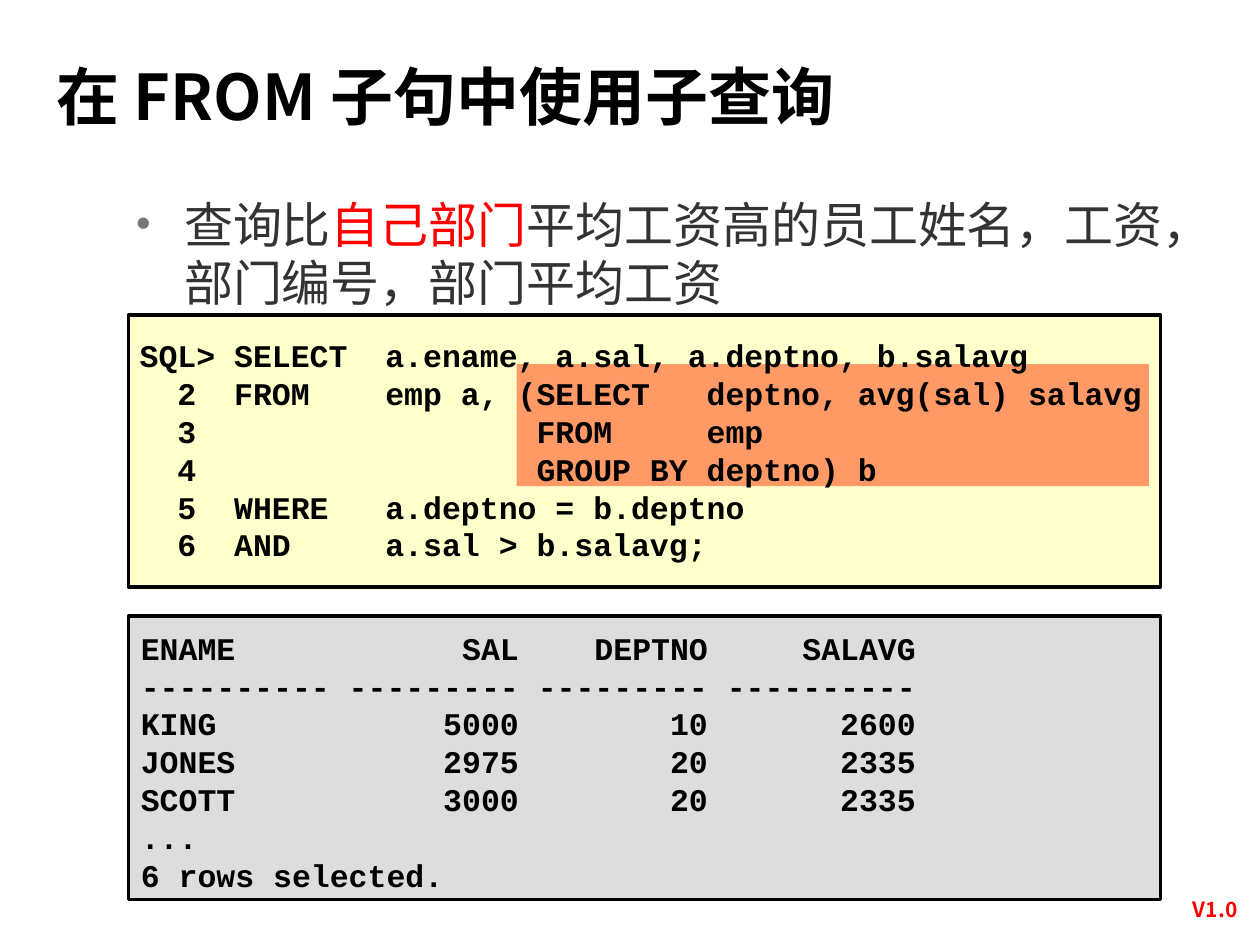
from lxml import etree
from pptx import Presentation
from pptx.dml.color import RGBColor
from pptx.enum import shapes, text
from pptx.oxml import ns
from pptx.util import Pt

BLACK = RGBColor(0x00, 0x00, 0x00)
DARK = RGBColor(0x33, 0x33, 0x33)
BULLET_GRAY = RGBColor(0x77, 0x77, 0x77)
RED = RGBColor(0xFF, 0x00, 0x00)
YELLOW = RGBColor(0xFF, 0xFF, 0xCC)
ORANGE = RGBColor(0xFF, 0x99, 0x66)
GRAY = RGBColor(0xDD, 0xDD, 0xDD)
SANS = "Noto Sans CJK SC"
MONO = "Courier New"

TITLE = "在 FROM 子句中使用子查询"
TASK = [
    ("查询比", DARK),
    ("自己部门", RED),
    ("平均工资高的员工姓名，工资，部门编号，部门平均工资", DARK),
]
QUERY = [
    "SQL> SELECT  a.ename, a.sal, a.deptno, b.salavg",
    "  2  FROM    emp a, (SELECT   deptno, avg(sal) salavg",
    "  3                  FROM     emp",
    "  4                  GROUP BY deptno) b",
    "  5  WHERE   a.deptno = b.deptno",
    "  6  AND     a.sal > b.salavg;",
]
COLUMN_WIDTHS = (10, 9, 9, 10)
RESULT = [
    ("ENAME", "SAL", "DEPTNO", "SALAVG"),
    tuple("-" * width for width in COLUMN_WIDTHS),
    ("KING", 5000, 10, 2600),
    ("JONES", 2975, 20, 2335),
    ("SCOTT", 3000, 20, 2335),
]
RESULT_END = ["...", "6 rows selected."]
VERSION = "V1.0"

PANEL_LEFT, PANEL_WIDTH = 73.4, 589.7
LINE_FACTOR = 1.2


def place(box, left, top, width, height):
    box.left, box.top, box.width, box.height = map(Pt, (left, top, width, height))


def add_panel(page, area, fill, outlined=True):
    panel = page.shapes.add_shape(shapes.MSO_SHAPE.RECTANGLE, *map(Pt, area))
    panel.shadow.inherit = False
    panel.fill.solid()
    panel.fill.fore_color.rgb = fill
    if outlined:
        panel.line.color.rgb = BLACK
        panel.line.width = Pt(2)
    else:
        panel.line.fill.background()
    return panel


def write(box, lines, font, size, bold, anchor=text.MSO_ANCHOR.TOP,
          align=text.PP_ALIGN.LEFT, top_inset=7.2):
    frame = box.text_frame
    frame.word_wrap = True
    frame.auto_size = text.MSO_AUTO_SIZE.NONE
    frame.vertical_anchor = anchor
    frame.margin_left = frame.margin_right = Pt(7.2)
    frame.margin_top, frame.margin_bottom = Pt(top_inset), Pt(3.6)
    for index, spans in enumerate(lines):
        para = frame.add_paragraph() if index else frame.paragraphs[0]
        para.alignment = align
        para.line_spacing = Pt(size * LINE_FACTOR)
        para.space_before = para.space_after = Pt(0)
        for words, color in spans:
            span = para.add_run()
            span.text = words
            span.font.name = font
            span.font.size = Pt(size)
            span.font.bold = bold
            span.font.color.rgb = color
            latin = span.font._element.find(ns.qn("a:latin"))
            east_asian = etree.Element(ns.qn("a:ea"), typeface=font)
            latin.addnext(east_asian)


def add_bullet(para, symbol, color, percent, indent):
    props = para._p.get_or_add_pPr()
    props.set("marL", str(Pt(indent)))
    props.set("indent", str(-Pt(indent)))
    bullet_color = etree.SubElement(props, ns.qn("a:buClr"))
    etree.SubElement(bullet_color, ns.qn("a:srgbClr"), val=str(color))
    etree.SubElement(props, ns.qn("a:buSzPct"), val=str(percent * 1000))
    etree.SubElement(props, ns.qn("a:buChar"), char=symbol)


def format_row(row):
    name, *numbers = row
    cells = [name.ljust(COLUMN_WIDTHS[0])]
    cells += [str(value).rjust(width) for value, width in zip(numbers, COLUMN_WIDTHS[1:])]
    return " ".join(cells)


def in_black(lines):
    return [[(line, BLACK)] for line in lines]


def main():
    deck = Presentation()
    deck.slide_width, deck.slide_height = Pt(720), Pt(540)
    page = deck.slides.add_slide(deck.slide_layouts[1])
    middle = text.MSO_ANCHOR.MIDDLE

    title = page.shapes.title
    place(title, 25.2, 25.9, 574.6, 69.1)
    write(title, in_black([TITLE]), SANS, 36, True)

    task = page.placeholders[1]
    place(task, 70.6, 103.7, 612, 75.6)
    write(task, [TASK], SANS, 28, False)
    add_bullet(task.text_frame.paragraphs[0], "•", BULLET_GRAY, 85, 27.4)

    add_panel(page, (PANEL_LEFT, 180, PANEL_WIDTH, 155.5), YELLOW)
    add_panel(page, (295.2, 208.1, 361.4, 69.8), ORANGE, outlined=False)
    query = page.shapes.add_textbox(*map(Pt, (72.7, 192.2, PANEL_WIDTH, 126)))
    write(query, in_black(QUERY), MONO, 18, True, middle)

    result = add_panel(page, (PANEL_LEFT, 352.1, PANEL_WIDTH, 162), GRAY)
    result_lines = [format_row(row) for row in RESULT] + RESULT_END
    write(result, in_black(result_lines), MONO, 18, True, middle)

    version = page.shapes.add_textbox(*map(Pt, (666, 509, 56.9, 21.6)))
    write(version, [[(VERSION, RED)]], SANS, 12, True,
          align=text.PP_ALIGN.CENTER, top_inset=3.6)

    deck.save("out.pptx")


if __name__ == "__main__":
    main()
